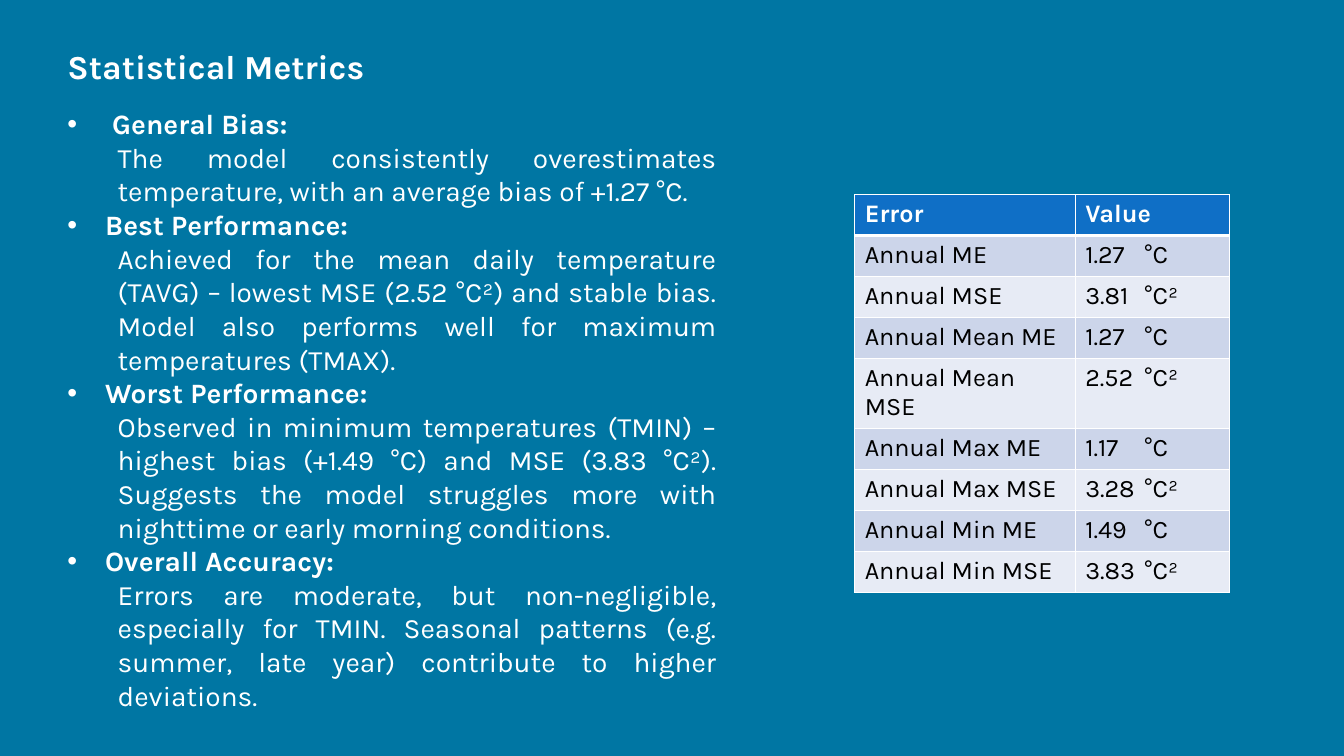
import lxml.etree
import pptx
import pptx.dml.color
import pptx.enum.text
import pptx.oxml.ns
import pptx.util

Pt = pptx.util.Pt
FONT = "Karla"
WHITE = "FFFFFF"
BACKGROUND = "0076A3"
HEADER_FILL = "0F6FC6"
BAND_FILLS = ("E7EBF5", "CCD5EA")
FINDINGS = [
    (" General Bias:",
     "The model consistently overestimates temperature, with an average bias of +1.27 °C."),
    ("Best Performance:",
     "Achieved for the mean daily temperature (TAVG) – lowest MSE (2.52 °C²) and stable bias. "
     "Model also performs well for maximum temperatures (TMAX)."),
    ("Worst Performance:",
     "Observed in minimum temperatures (TMIN) – highest bias (+1.49 °C) and MSE (3.83 °C²). "
     "Suggests the model struggles more with nighttime or early morning conditions."),
    ("Overall Accuracy:",
     "Errors are moderate, but non-negligible, especially for TMIN. Seasonal patterns "
     "(e.g. summer, late year) contribute to higher deviations."),
]
ERRORS = [
    ("Error", "Value"),
    ("Annual ME", "1.27\t°C"),
    ("Annual MSE", "3.81\t°C²"),
    ("Annual Mean ME", "1.27\t°C"),
    ("Annual Mean MSE", "2.52\t°C²"),
    ("Annual Max ME", "1.17\t°C"),
    ("Annual Max MSE", "3.28\t°C²"),
    ("Annual Min ME", "1.49\t°C"),
    ("Annual Min MSE", "3.83\t°C²"),
]


def color(value):
    """Return the colour for a hex string."""
    return pptx.dml.color.RGBColor.from_string(value)


def add_element(parent, tag, **attributes):
    """Append a DrawingML element to a parent and return it."""
    return lxml.etree.SubElement(parent, pptx.oxml.ns.qn(tag), attributes)


def format_font(paragraph, size, hex_color, bold):
    """Set the font of a whole paragraph."""
    font = paragraph.font
    font.name = FONT
    font.size = Pt(size)
    font.bold = bold
    font.color.rgb = color(hex_color)


def format_title(slide, text):
    """Place and format the title placeholder."""
    title = slide.shapes.title
    title.left, title.top, title.width, title.height = Pt(41), Pt(29.5), Pt(878.5), Pt(36)
    frame = title.text_frame
    frame.text = text
    frame.auto_size = pptx.enum.text.MSO_AUTO_SIZE.NONE
    frame.vertical_anchor = pptx.enum.text.MSO_ANCHOR.TOP
    paragraph = frame.paragraphs[0]
    paragraph.alignment = pptx.enum.text.PP_ALIGN.LEFT
    format_font(paragraph, 24, WHITE, True)


def format_finding(paragraph, text, is_heading):
    """Write a bulleted heading or the indented text below it."""
    paragraph.text = text
    paragraph.alignment = pptx.enum.text.PP_ALIGN.JUSTIFY
    paragraph.level = 0 if is_heading else 1
    properties = paragraph._p.get_or_add_pPr()
    properties.set("marL", str(Pt(27 if is_heading else 36)))
    properties.set("indent", str(Pt(-27 if is_heading else 0)))
    if is_heading:
        add_element(properties, "a:buFont", typeface="Arial")
        add_element(properties, "a:buChar", char="•")
    format_font(paragraph, 20, WHITE, is_heading)


def add_findings(slide, findings):
    """Add the text box of headed findings."""
    box = slide.shapes.add_textbox(Pt(41), Pt(72.7), Pt(478), Pt(425.5))
    frame = box.text_frame
    frame.word_wrap = True
    lines = [(text, position == 0) for finding in findings for position, text in enumerate(finding)]
    for index, (text, is_heading) in enumerate(lines):
        paragraph = frame.add_paragraph() if index else frame.paragraphs[0]
        format_finding(paragraph, text, is_heading)


def set_borders(cell, bottom_width):
    """Give a cell white borders."""
    properties = cell._tc.get_or_add_tcPr()
    widths = {"a:lnL": 1, "a:lnR": 1, "a:lnT": 1, "a:lnB": bottom_width}
    for index, (tag, width) in enumerate(widths.items()):
        line = add_element(properties, tag, w=str(Pt(width)))
        add_element(add_element(line, "a:solidFill"), "a:srgbClr", val=WHITE)
        properties.insert(index, line)


def format_cell(cell, text, row):
    """Write and format one table cell."""
    is_header = row == 0
    cell.text = text
    cell.fill.solid()
    cell.fill.fore_color.rgb = color(HEADER_FILL if is_header else BAND_FILLS[row % 2])
    set_borders(cell, 3 if is_header else 1)
    paragraph = cell.text_frame.paragraphs[0]
    if "\t" in text:
        tabs = add_element(paragraph._p.get_or_add_pPr(), "a:tabLst")
        add_element(tabs, "a:tab", pos=str(Pt(42)), algn="l")
    format_font(paragraph, 18, WHITE if is_header else "000000", is_header)


def add_error_table(slide, errors):
    """Add the table of error values."""
    frame = slide.shapes.add_table(len(errors), 2, Pt(610.5), Pt(139), Pt(268), Pt(29.2 * len(errors)))
    table = frame.table
    for column, width in zip(table.columns, (157.5, 110.5)):
        column.width = Pt(width)
    for row, texts in enumerate(errors):
        for column, text in enumerate(texts):
            format_cell(table.cell(row, column), text, row)


def main():
    """Build the slide and save it."""
    presentation = pptx.Presentation()
    presentation.slide_width, presentation.slide_height = Pt(960), Pt(540)
    slide = presentation.slides.add_slide(presentation.slide_layouts[5])
    slide.background.fill.solid()
    slide.background.fill.fore_color.rgb = color(BACKGROUND)
    format_title(slide, "Statistical Metrics")
    add_findings(slide, FINDINGS)
    add_error_table(slide, ERRORS)
    presentation.save("out.pptx")


if __name__ == "__main__":
    main()
